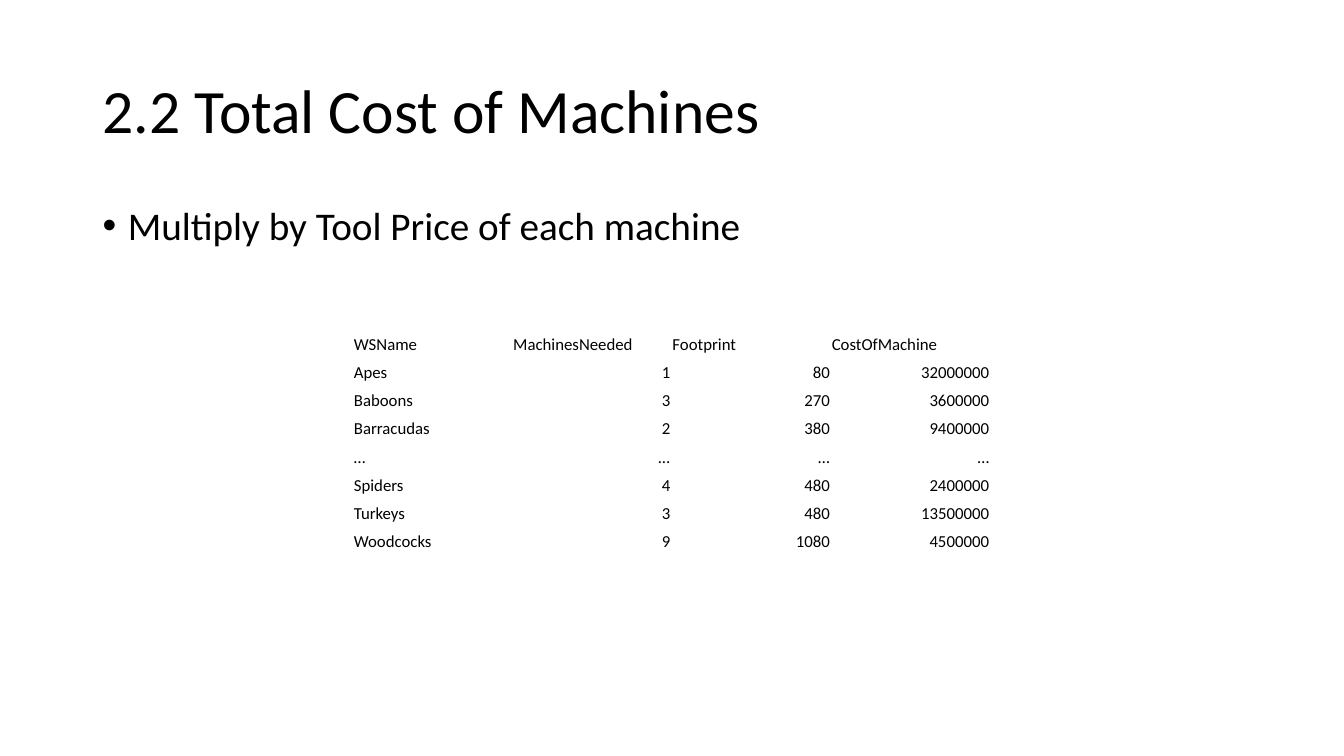
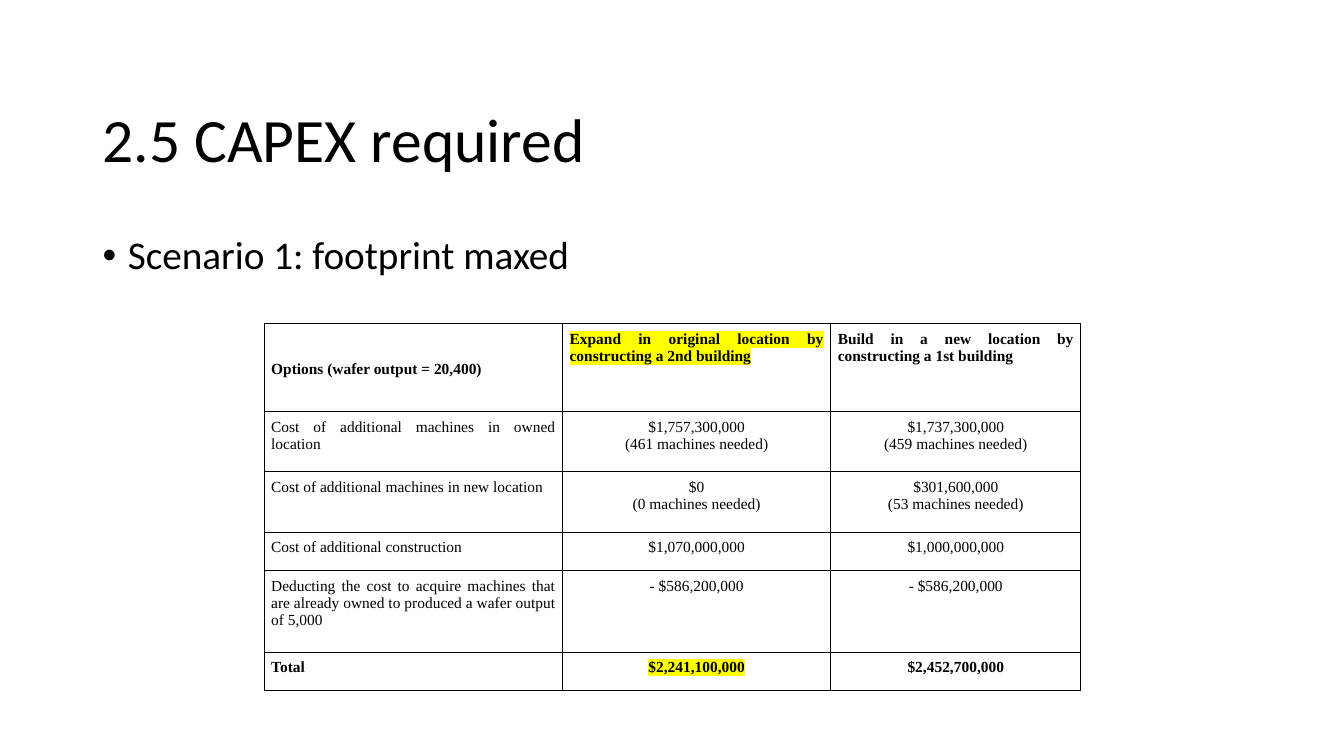
from dataclasses import dataclass

from lxml import etree
from pptx import Presentation
from pptx.dml.color import RGBColor
from pptx.enum.text import MSO_ANCHOR, PP_ALIGN
from pptx.oxml import ns
from pptx.slide import Slide
from pptx.table import Table, _Cell
from pptx.text.text import TextFrame, _Paragraph
from pptx.util import Inches, Pt

BLACK = RGBColor(0x00, 0x00, 0x00)
YELLOW = RGBColor(0xFF, 0xFF, 0x00)
SANS = "Calibri"
SERIF = "Times New Roman"

CONTENT_LEFT, CONTENT_WIDTH = 0.92, 11.5
TITLE_HEIGHT, BODY_HEIGHT = 1.45, 4.76
BODY_OFFSET = 1.6
BULLET_INDENT = 0.25

MACHINE_ROWS = [
    ("WSName", "MachinesNeeded", "Footprint", "CostOfMachine"),
    ("Apes", "1", "80", "32000000"),
    ("Baboons", "3", "270", "3600000"),
    ("Barracudas", "2", "380", "9400000"),
    ("…", "...", "…", "…"),
    ("Spiders", "4", "480", "2400000"),
    ("Turkeys", "3", "480", "13500000"),
    ("Woodcocks", "9", "1080", "4500000"),
]

CAPEX_ROWS = [
    ("Options (wafer output = 20,400)",
     "Expand in original location by constructing a 2nd building",
     "Build in a new location by constructing a 1st building"),
    ("Cost of additional machines in owned location",
     "$1,757,300,000\n(461 machines needed)",
     "$1,737,300,000\n(459 machines needed)"),
    ("Cost of additional machines in new location",
     "$0\n(0 machines needed)",
     "$301,600,000\n(53 machines needed)"),
    ("Cost of additional construction", "$1,070,000,000", "$1,000,000,000"),
    ("Deducting the cost to acquire machines that are already owned "
     "to produced a wafer output of 5,000",
     "- $586,200,000", "- $586,200,000"),
    ("Total", "$2,241,100,000", "$2,452,700,000"),
]


@dataclass(frozen=True)
class TableLayout:
    left: float
    top: float
    columns: list[float]
    rows: list[float]


@dataclass(frozen=True)
class CellStyle:
    font: str
    size: float
    anchor: MSO_ANCHOR
    side_margin: float
    top_margin: float
    bottom_margin: float


MACHINE_LAYOUT = TableLayout(3.5, 3, [1.58] * 4, [0.52] + [0.28] * 7)
CAPEX_LAYOUT = TableLayout(2.62, 3.21, [2.96, 2.66, 2.48],
                           [0.87, 0.6, 0.6, 0.38, 0.81, 0.38])
MACHINE_STYLE = CellStyle(SANS, 12, MSO_ANCHOR.BOTTOM, 0.01, 0.01, 0)
CAPEX_STYLE = CellStyle(SERIF, 11, MSO_ANCHOR.TOP, 0.07, 0.07, 0.07)
OPTIONS_TOP_MARGIN = 0.37


def style_paragraph(paragraph: _Paragraph, font: str, size: float,
                    bold: bool = False) -> None:
    paragraph.font.name = font
    paragraph.font.size = Pt(size)
    paragraph.font.bold = bold
    paragraph.font.color.rgb = BLACK


def add_text(slide: Slide, top: float, height: float, text: str,
             size: float) -> TextFrame:
    box = slide.shapes.add_textbox(Inches(CONTENT_LEFT), Inches(top),
                                   Inches(CONTENT_WIDTH), Inches(height))
    frame = box.text_frame
    frame.word_wrap = True
    frame.text = text
    paragraph = frame.paragraphs[0]
    paragraph.line_spacing = 0.9
    style_paragraph(paragraph, SANS, size)
    return frame


def add_bullet(paragraph: _Paragraph) -> None:
    properties = paragraph._p.get_or_add_pPr()
    properties.set("marL", str(Inches(BULLET_INDENT)))
    properties.set("indent", str(-Inches(BULLET_INDENT)))
    font = etree.Element(ns.qn("a:buFont"), typeface="Arial")
    bullet = etree.Element(ns.qn("a:buChar"), char="•")
    defaults = properties.find(ns.qn("a:defRPr"))
    defaults.addprevious(font)
    defaults.addprevious(bullet)


def add_content_slide(presentation: Presentation, title: str, body: str,
                      top: float) -> Slide:
    """Add a slide with a title at the given top and one bullet below it."""
    slide = presentation.slides.add_slide(presentation.slide_layouts[6])
    title_frame = add_text(slide, top, TITLE_HEIGHT, title, 44)
    title_frame.vertical_anchor = MSO_ANCHOR.MIDDLE
    body_frame = add_text(slide, top + BODY_OFFSET, BODY_HEIGHT, body, 28)
    body_frame.paragraphs[0].space_before = Pt(10)
    add_bullet(body_frame.paragraphs[0])
    return slide


def add_table(slide: Slide, layout: TableLayout) -> Table:
    frame = slide.shapes.add_table(
        len(layout.rows), len(layout.columns),
        Inches(layout.left), Inches(layout.top),
        Inches(sum(layout.columns)), Inches(sum(layout.rows)))
    table = frame.table
    table.first_row = False
    table.horz_banding = False
    for column, width in zip(table.columns, layout.columns):
        column.width = Inches(width)
    for row, height in zip(table.rows, layout.rows):
        row.height = Inches(height)
    return table


def fill_cell(cell: _Cell, text: str, style: CellStyle, align: PP_ALIGN,
              bold: bool = False) -> None:
    cell.text = text
    cell.vertical_anchor = style.anchor
    cell.margin_left = cell.margin_right = Inches(style.side_margin)
    cell.margin_top = Inches(style.top_margin)
    cell.margin_bottom = Inches(style.bottom_margin)
    cell.fill.background()
    for paragraph in cell.text_frame.paragraphs:
        paragraph.alignment = align
        style_paragraph(paragraph, style.font, style.size, bold)


def add_borders(cell: _Cell) -> None:
    properties = cell._tc.get_or_add_tcPr()
    for index, side in enumerate(("lnL", "lnR", "lnT", "lnB")):
        line = etree.Element(ns.qn(f"a:{side}"), w=str(Pt(1)))
        fill = etree.SubElement(line, ns.qn("a:solidFill"))
        etree.SubElement(fill, ns.qn("a:srgbClr"), val=str(BLACK))
        properties.insert(index, line)


def highlight(cell: _Cell) -> None:
    for paragraph in cell.text_frame.paragraphs:
        for run in paragraph.runs:
            mark = etree.SubElement(run._r.get_or_add_rPr(),
                                    ns.qn("a:highlight"))
            etree.SubElement(mark, ns.qn("a:srgbClr"), val=str(YELLOW))


def build_machine_cost(presentation: Presentation) -> None:
    slide = add_content_slide(presentation, "2.2 Total Cost of Machines",
                              "Multiply by Tool Price of each machine", 0.4)
    table = add_table(slide, MACHINE_LAYOUT)
    for row, values in enumerate(MACHINE_ROWS):
        for column, value in enumerate(values):
            is_number = row > 0 and column > 0
            align = PP_ALIGN.RIGHT if is_number else PP_ALIGN.LEFT
            fill_cell(table.cell(row, column), value, MACHINE_STYLE, align)


def build_capex(presentation: Presentation) -> None:
    slide = add_content_slide(presentation, "2.5 CAPEX required",
                              "Scenario 1: footprint maxed", 0.69)
    table = add_table(slide, CAPEX_LAYOUT)
    last_row = len(CAPEX_ROWS) - 1
    for row, values in enumerate(CAPEX_ROWS):
        for column, value in enumerate(values):
            cell = table.cell(row, column)
            is_amount = row > 0 and column > 0
            align = PP_ALIGN.CENTER if is_amount else PP_ALIGN.JUSTIFY
            fill_cell(cell, value, CAPEX_STYLE, align,
                      bold=row in (0, last_row))
            add_borders(cell)
    table.cell(0, 0).margin_top = Inches(OPTIONS_TOP_MARGIN)
    for row in (0, last_row):
        highlight(table.cell(row, 1))


def main() -> None:
    presentation = Presentation()
    presentation.slide_width = Inches(13.33)
    presentation.slide_height = Inches(7.5)
    build_machine_cost(presentation)
    build_capex(presentation)
    presentation.save("out.pptx")


if __name__ == "__main__":
    main()
